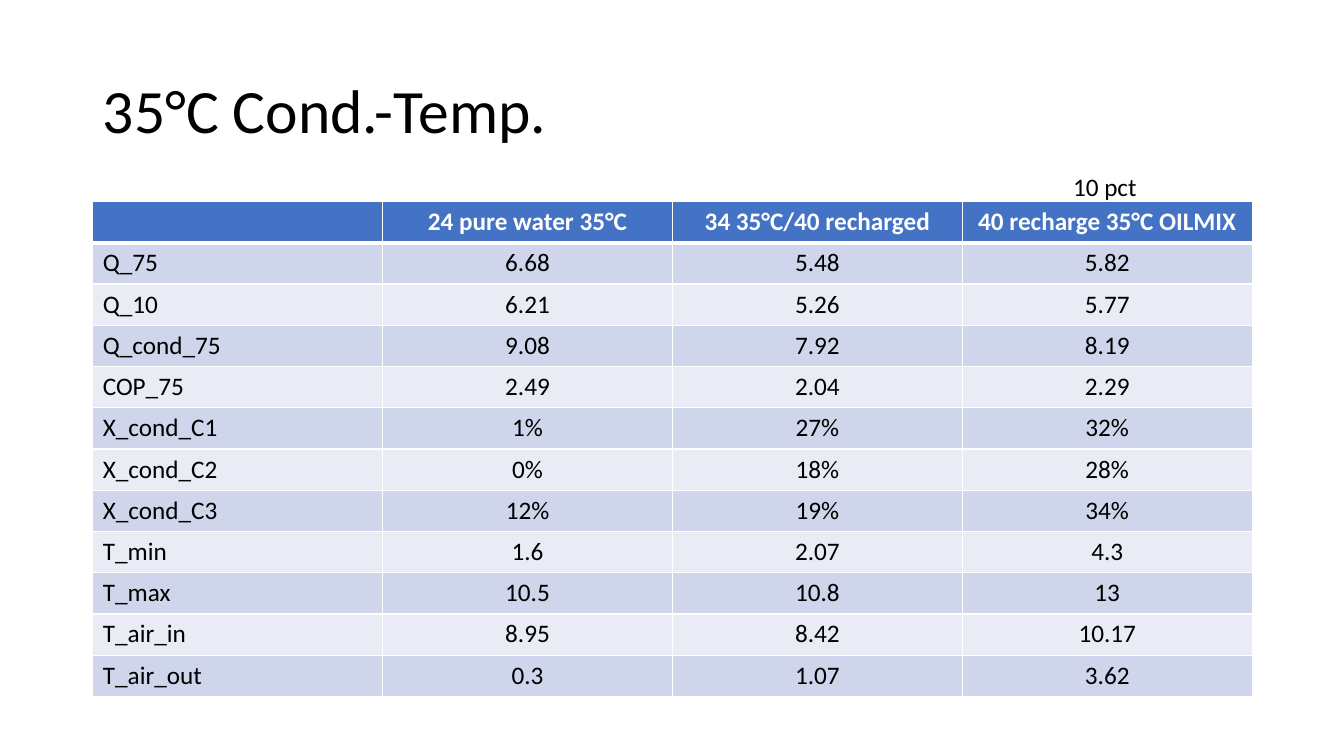
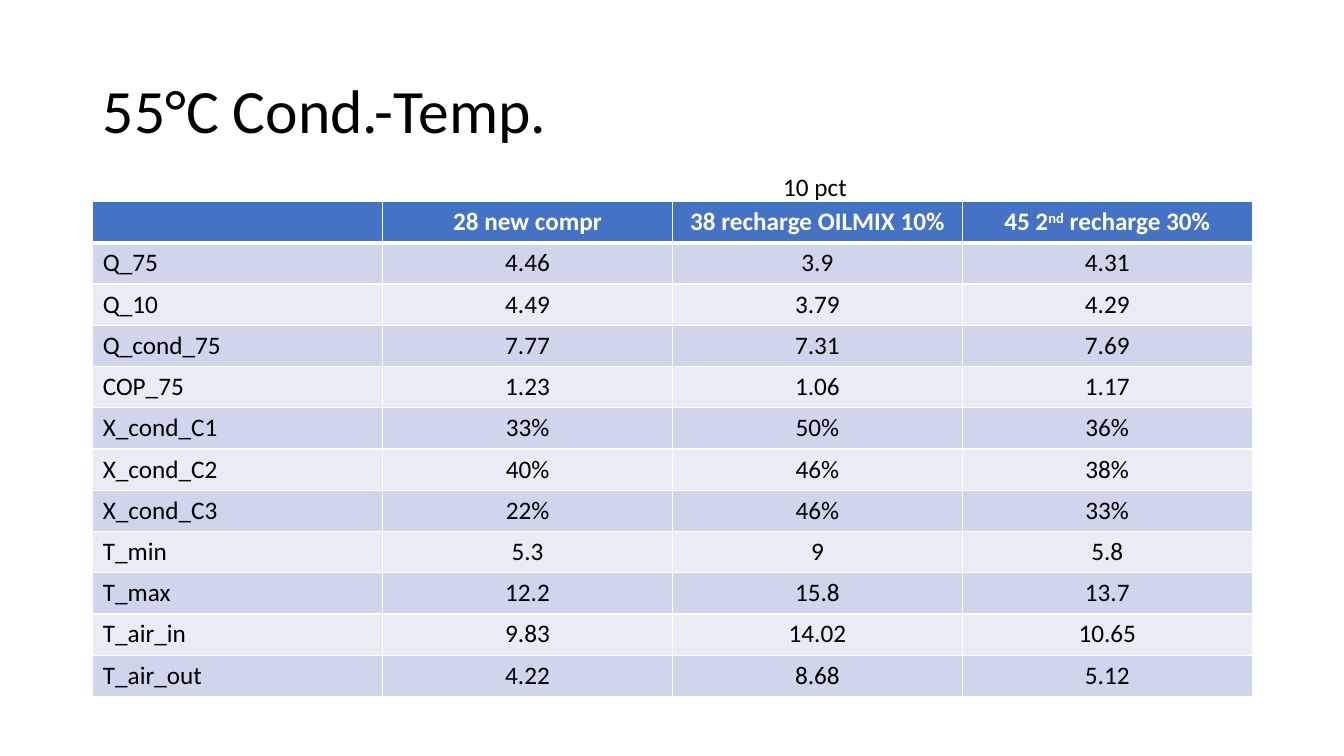
from lxml.etree import SubElement
from pptx import Presentation
from pptx.dml.color import RGBColor
from pptx.enum.text import MSO_ANCHOR, MSO_AUTO_SIZE, PP_ALIGN
from pptx.oxml.ns import qn
from pptx.util import Inches, Pt

FONT = "Calibri"
WHITE = RGBColor(0xFF, 0xFF, 0xFF)
BLACK = RGBColor(0x00, 0x00, 0x00)
HEADER = RGBColor(0x44, 0x72, 0xC4)
BAND_DARK = RGBColor(0xCF, 0xD5, 0xEA)
BAND_LIGHT = RGBColor(0xE9, 0xEB, 0xF5)

LEFT, WIDTH = 0.92, 11.5
TITLE_BOX = (LEFT, 0.4, WIDTH, 1.45)
TABLE_BOX = (LEFT, 2, WIDTH, 4.91)

LABELS = ["Q_75", "Q_10", "Q_cond_75", "COP_75", "X_cond_C1", "X_cond_C2",
          "X_cond_C3", "T_min", "T_max", "T_air_in", "T_air_out"]

SLIDES = [
    {
        "title": "35°C Cond.-Temp.",
        "note_column": 3,
        "columns": {
            "24 pure water 35°C": ["6.68", "6.21", "9.08", "2.49", "1%", "0%",
                                   "12%", "1.6", "10.5", "8.95", "0.3"],
            "34 35°C/40 recharged": ["5.48", "5.26", "7.92", "2.04", "27%", "18%",
                                     "19%", "2.07", "10.8", "8.42", "1.07"],
            "40 recharge 35°C OILMIX": ["5.82", "5.77", "8.19", "2.29", "32%", "28%",
                                        "34%", "4.3", "13", "10.17", "3.62"],
        },
    },
    {
        "title": "55°C Cond.-Temp.",
        "note_column": 2,
        "columns": {
            "28 new compr": ["4.46", "4.49", "7.77", "1.23", "33%", "40%",
                             "22%", "5.3", "12.2", "9.83", "4.22"],
            "38 recharge OILMIX 10%": ["3.9", "3.79", "7.31", "1.06", "50%", "46%",
                                       "46%", "9", "15.8", "14.02", "8.68"],
            "45 2^nd^ recharge 30%": ["4.31", "4.29", "7.69", "1.17", "36%", "38%",
                                      "33%", "5.8", "13.7", "10.65", "5.12"],
        },
    },
]


def style_font(font, size, color, bold=False):
    """Apply the shared typeface with a size, colour and weight."""
    font.name, font.size, font.bold = FONT, Pt(size), bold
    font.color.rgb = color


def add_title(s, text, box):
    """Fill and place the title placeholder."""
    sp = s.shapes.title
    sp.left, sp.top, sp.width, sp.height = map(Inches, box)
    tf = sp.text_frame
    tf.text = text
    tf.auto_size = MSO_AUTO_SIZE.NONE
    tf.vertical_anchor = MSO_ANCHOR.MIDDLE
    p = tf.paragraphs[0]
    p.alignment = PP_ALIGN.LEFT
    p.line_spacing = 0.9
    style_font(p.runs[0].font, 44, BLACK)


def add_borders(cell, top, bottom):
    """Draw white borders, with top and bottom widths in points."""
    tcPr = cell._tc.get_or_add_tcPr()
    for tag, width in (("a:lnL", 1), ("a:lnR", 1), ("a:lnT", top), ("a:lnB", bottom)):
        ln = SubElement(tcPr, qn(tag), w=str(Pt(width)))
        fill = SubElement(ln, qn("a:solidFill"))
        SubElement(fill, qn("a:srgbClr"), val=str(WHITE))


def fill_cell(cell, text, row, col):
    """Write and style one cell; text between carets is superscript."""
    add_borders(cell, 3 if row == 1 else 1, 3 if row == 0 else 1)
    cell.fill.solid()
    cell.fill.fore_color.rgb = (
        HEADER if row == 0 else BAND_DARK if row % 2 else BAND_LIGHT)
    p = cell.text_frame.paragraphs[0]
    p.alignment = PP_ALIGN.CENTER if col else PP_ALIGN.LEFT
    for i, part in enumerate(text.split("^") if text else []):
        r = p.add_run()
        r.text = part
        style_font(r.font, 18, BLACK if row else WHITE, row == 0)
        if i % 2:
            r.font._element.set("baseline", "30000")


def add_results(s, columns, box):
    """Add the table of measured values."""
    grid = list(zip(["", *LABELS], *([head, *values] for head, values in columns.items())))
    n_rows, n_cols = len(grid), len(grid[0])
    table = s.shapes.add_table(n_rows, n_cols, *map(Inches, box)).table
    for column in table.columns:
        column.width = Inches(box[2] / n_cols)
    for i, texts in enumerate(grid):
        table.rows[i].height = Inches(box[3] / n_rows)
        for j, text in enumerate(texts):
            fill_cell(table.cell(i, j), text, i, j)


def add_note(s, text, column, n_cols, box):
    """Add a note above one column of the table in the box."""
    left = box[0] + column * box[2] / n_cols + 1
    sp = s.shapes.add_textbox(Inches(left), Inches(box[1] - 0.35), Inches(1.76), Inches(0.4))
    tf = sp.text_frame
    tf.word_wrap = True
    tf.text = text
    style_font(tf.paragraphs[0].runs[0].font, 18, BLACK)


def add_results_slide(prs, title, note_column, columns):
    """Add a slide with a title, a results table and a column note."""
    s = prs.slides.add_slide(prs.slide_layouts[5])
    add_title(s, title, TITLE_BOX)
    add_results(s, columns, TABLE_BOX)
    add_note(s, "10 pct", note_column, len(columns) + 1, TABLE_BOX)


def main():
    """Build and save the presentation."""
    prs = Presentation()
    prs.slide_width, prs.slide_height = Inches(13.33), Inches(7.5)
    for content in SLIDES:
        add_results_slide(prs, **content)
    prs.save("out.pptx")


if __name__ == "__main__":
    main()
